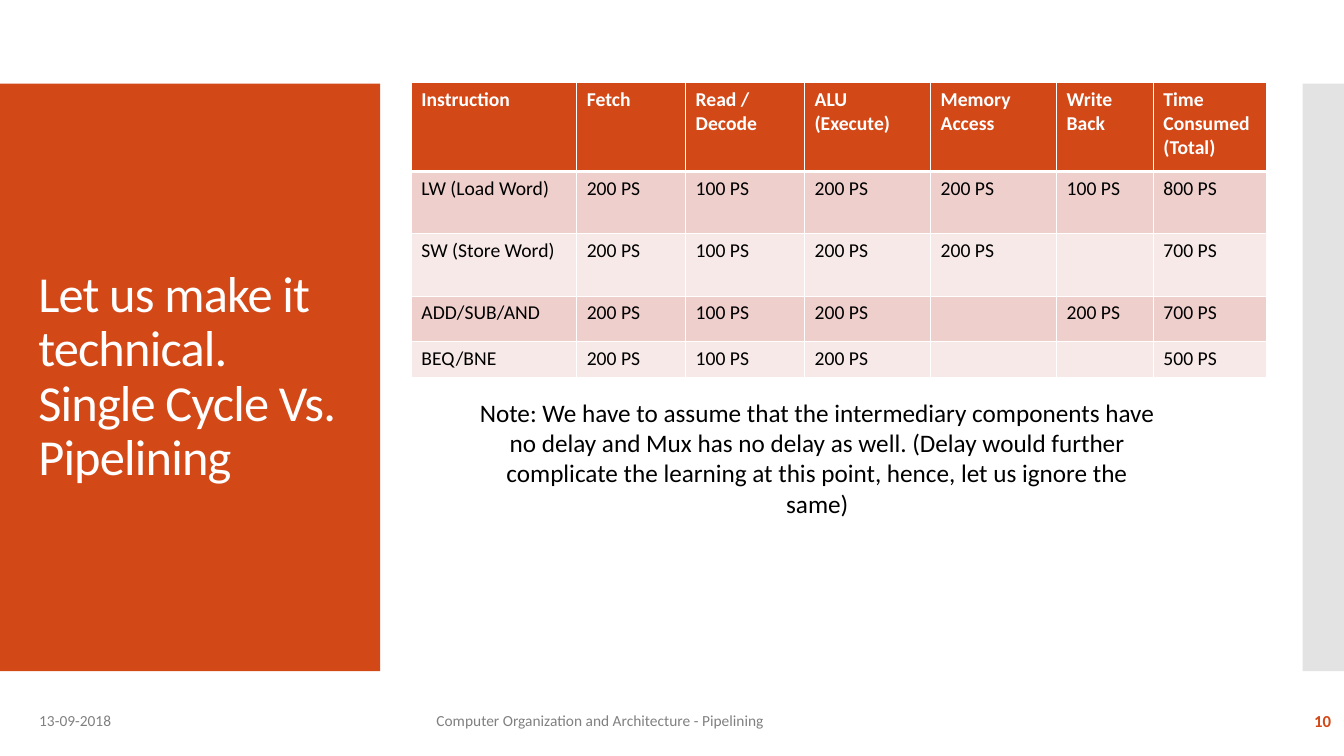
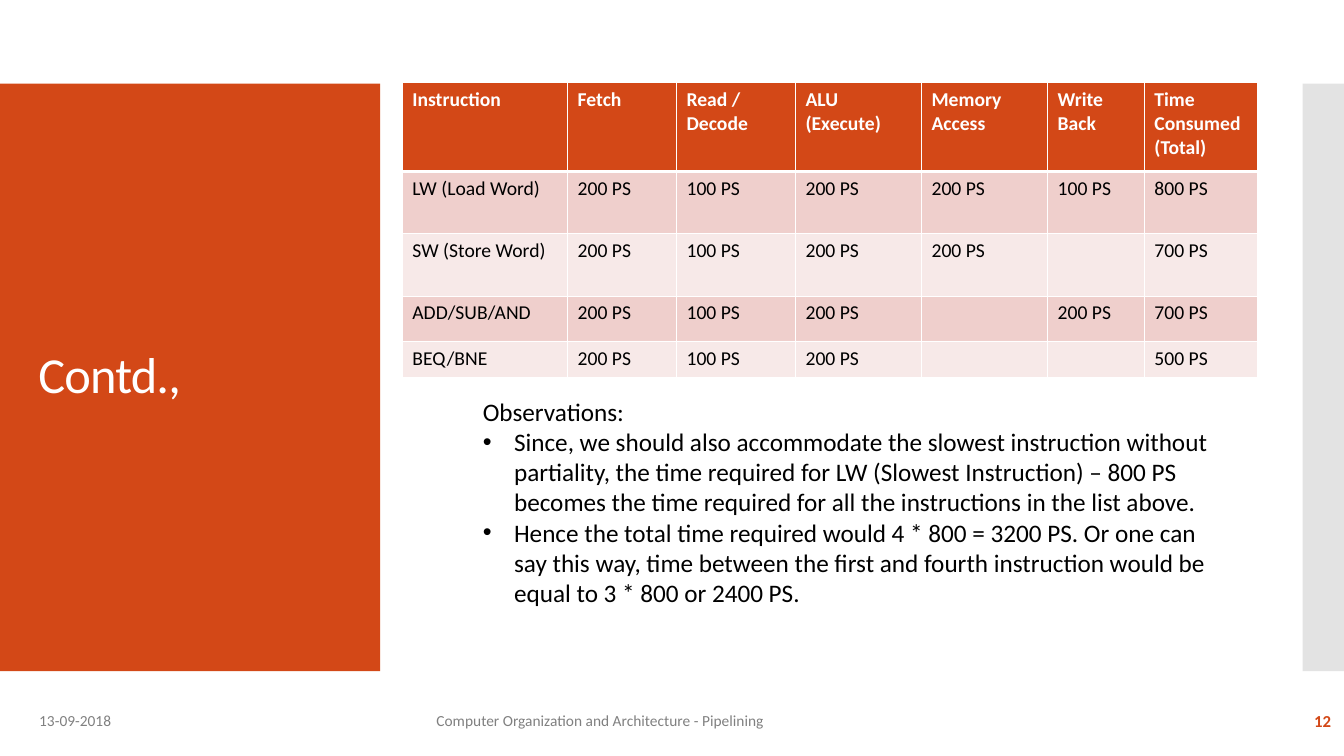
from copy import deepcopy

from lxml import etree
from pptx import Presentation
from pptx.dml.color import RGBColor
from pptx.enum.shapes import MSO_SHAPE
from pptx.enum.text import MSO_ANCHOR, MSO_AUTO_SIZE, PP_ALIGN
from pptx.oxml.ns import qn
from pptx.util import Pt

RECTANGLE = MSO_SHAPE.RECTANGLE
TOP, MIDDLE = MSO_ANCHOR.TOP, MSO_ANCHOR.MIDDLE
LEFT, CENTER, RIGHT = PP_ALIGN.LEFT, PP_ALIGN.CENTER, PP_ALIGN.RIGHT
NO_FIT = MSO_AUTO_SIZE.NONE

PX = 9144
TITLE_ONLY = 5
FONT = "Calibri"
COLORS = {
    "accent": "D34817",
    "edge": "C8C8C8",
    "muted": "808080",
    "white": "FFFFFF",
    "black": "000000",
    "row_dark": "EFCFCC",
    "row_light": "F7E9E8",
}

SLIDE_SIZE = (1333, 750)
BANDS = [
    {"at": (0, 83, 377, 583), "color": "accent", "opacity": 100},
    {"at": (1292, 83, 42, 583), "color": "edge", "opacity": 50},
]
TITLE_AT = (28, 123, 322, 503)
FOOTERS = [
    ((29, 695, 300, 40), "13-09-2018"),
    ((423, 695, 646, 40), "Computer Organization and Architecture - Pipelining"),
]
NUMBER_AT = (1163, 695, 167, 40)

TABLE_TOP = 82
COLUMN_WIDTHS = [164, 108, 118, 125, 125, 96, 112]
ROW_HEIGHTS = [88, 62, 62, 45, 36]
TIMINGS = [
    ("Instruction", "Fetch", "Read / Decode", "ALU (Execute)",
     "Memory Access", "Write Back", "Time Consumed (Total)"),
    ("LW (Load Word)", "200 PS", "100 PS", "200 PS", "200 PS", "100 PS", "800 PS"),
    ("SW (Store Word)", "200 PS", "100 PS", "200 PS", "200 PS", "", "700 PS"),
    ("ADD/SUB/AND", "200 PS", "100 PS", "200 PS", "", "200 PS", "700 PS"),
    ("BEQ/BNE", "200 PS", "100 PS", "200 PS", "", "", "500 PS"),
]

PAGES = [
    {
        "title": "Let us make it technical.\nSingle Cycle Vs. Pipelining",
        "number": "10",
        "table_left": 408,
        "text_at": (466, 389, 689, 131),
        "paragraphs": [
            ("Note: We have to assume that the intermediary components have no delay "
             "and Mux has no delay as well. (Delay would further complicate the learning "
             "at this point, hence, let us ignore the same)", {"align": CENTER}),
        ],
    },
    {
        "title": "Contd.,",
        "number": "12",
        "table_left": 399,
        "text_at": (469, 388, 739, 283),
        "paragraphs": [
            ("Observations:", {}),
            ("Since, we should also accommodate the slowest instruction without "
             "partiality, the time required for LW (Slowest Instruction) – 800 PS "
             "becomes the time required for all the instructions in the list above.",
             {"bullet": True}),
            ("Hence the total time required would 4 * 800 = 3200 PS. Or one can say "
             "this way, time between the first and fourth instruction would be equal "
             "to 3 * 800 or 2400 PS.", {"bullet": True}),
        ],
    },
]


def scaled(lengths):
    return [length * PX for length in lengths]


def rgb(name):
    return RGBColor.from_string(COLORS[name])


def write(para, text, size=18, color="black", bold=False, align=LEFT,
          line_spacing=None, tracking=None, bullet=False):
    para.alignment = align
    if line_spacing:
        para.line_spacing = line_spacing
    if bullet:
        settings = para._p.get_or_add_pPr()
        settings.set("marL", str(31 * PX))
        settings.set("indent", str(-31 * PX))
        etree.SubElement(settings, qn("a:buFont"), typeface="Arial")
        etree.SubElement(settings, qn("a:buChar"), char="•")
    if not text:
        etree.SubElement(para._p, qn("a:endParaRPr"), sz=str(size * 100))
        return
    for index, line in enumerate(text.split("\n")):
        if index:
            para.add_line_break()
        span = para.add_run()
        span.text = line
        span.font.name = FONT
        span.font.size = Pt(size)
        span.font.bold = bold
        span.font.color.rgb = rgb(color)
        if tracking:
            span._r.get_or_add_rPr().set("spc", str(tracking))
    for line_break in para._p.findall(qn("a:br")):
        line_break.insert(0, deepcopy(span._r.get_or_add_rPr()))


def add_text(page, at, paragraphs, anchor=TOP):
    frame = page.shapes.add_textbox(*scaled(at)).text_frame
    frame.word_wrap = True
    frame.vertical_anchor = anchor
    for index, (text, style) in enumerate(paragraphs):
        para = frame.add_paragraph() if index else frame.paragraphs[0]
        write(para, text, **style)


def add_bands(page):
    tree = page.shapes.element
    for index, band in enumerate(BANDS):
        box = page.shapes.add_shape(RECTANGLE, *scaled(band["at"]))
        box.shadow.inherit = False
        box.line.fill.background()
        box.fill.solid()
        box.fill.fore_color.rgb = rgb(band["color"])
        if band["opacity"] < 100:
            tint = box.element.spPr.find(".//" + qn("a:srgbClr"))
            etree.SubElement(tint, qn("a:alpha"), val=str(band["opacity"] * 1000))
        tree.insert(2 + index, box.element)


def add_title(page, text):
    title = page.shapes.title
    title.left, title.top, title.width, title.height = scaled(TITLE_AT)
    frame = title.text_frame
    frame.word_wrap = True
    frame.auto_size = NO_FIT
    frame.vertical_anchor = MIDDLE
    write(frame.paragraphs[0], text, size=36, color="white",
          line_spacing=0.9, tracking=-60)


def add_footers(page, number):
    for at, text in FOOTERS:
        add_text(page, at, [(text, {"size": 11, "color": "muted"})], anchor=MIDDLE)
    style = {"size": 12, "color": "accent", "bold": True, "align": RIGHT}
    add_text(page, NUMBER_AT, [(number, style)], anchor=MIDDLE)


def set_borders(cell, widths):
    settings = cell._tc.get_or_add_tcPr()
    for side, width in widths.items():
        line = etree.SubElement(settings, qn("a:ln" + side), w=str(Pt(width)))
        fill = etree.SubElement(line, qn("a:solidFill"))
        etree.SubElement(fill, qn("a:srgbClr"), val=COLORS["white"])


def add_timings(page, left):
    at = (left, TABLE_TOP, sum(COLUMN_WIDTHS), sum(ROW_HEIGHTS))
    table = page.shapes.add_table(len(ROW_HEIGHTS), len(COLUMN_WIDTHS), *scaled(at)).table
    for column, width in zip(table.columns, scaled(COLUMN_WIDTHS)):
        column.width = width
    for row, height in zip(table.rows, scaled(ROW_HEIGHTS)):
        row.height = height
    for row_index, values in enumerate(TIMINGS):
        header = row_index == 0
        band = "accent" if header else "row_dark" if row_index % 2 else "row_light"
        widths = {"L": 1, "R": 1, "T": 3 if row_index == 1 else 1, "B": 3 if header else 1}
        for column_index, value in enumerate(values):
            cell = table.cell(row_index, column_index)
            set_borders(cell, widths)
            cell.fill.solid()
            cell.fill.fore_color.rgb = rgb(band)
            write(cell.text_frame.paragraphs[0], value, size=14,
                  color="white" if header else "black", bold=header)


def main():
    deck = Presentation()
    deck.slide_width, deck.slide_height = scaled(SLIDE_SIZE)
    for content in PAGES:
        page = deck.slides.add_slide(deck.slide_layouts[TITLE_ONLY])
        add_bands(page)
        add_title(page, content["title"])
        add_footers(page, content["number"])
        add_timings(page, content["table_left"])
        add_text(page, content["text_at"], content["paragraphs"])
    deck.save("out.pptx")


if __name__ == "__main__":
    main()
